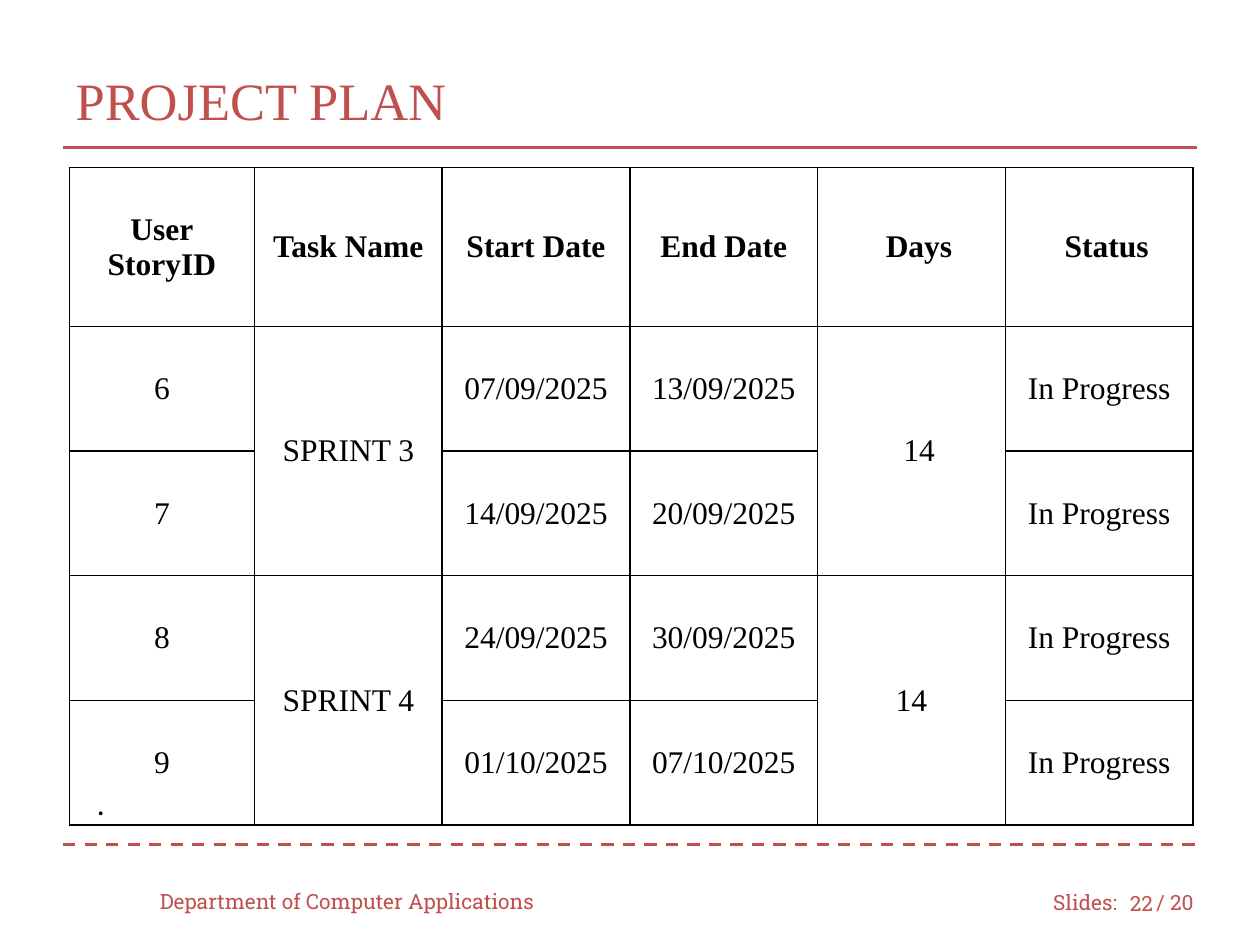
from dataclasses import dataclass
from typing import Optional

from lxml.etree import SubElement
from pptx import Presentation
from pptx.dml.color import RGBColor
from pptx.enum.dml import MSO_LINE_DASH_STYLE as Dash
from pptx.enum.shapes import MSO_CONNECTOR as Connector
from pptx.enum.text import MSO_ANCHOR as Anchor, PP_ALIGN as Align
from pptx.oxml.ns import qn
from pptx.slide import Slide
from pptx.table import _Cell as Cell
from pptx.text.text import TextFrame
from pptx.util import Inches, Pt


@dataclass(frozen=True)
class Theme:
    accent: RGBColor = RGBColor(0xC0, 0x50, 0x4D)
    ink: RGBColor = RGBColor(0, 0, 0)
    paper: RGBColor = RGBColor(255, 255, 255)
    serif: str = "Times New Roman"
    slab: str = "Roboto Slab"
    sans: str = "Calibri"
    title_size: int = 30
    table_size: int = 18
    footer_size: int = 12
    rule_width: float = 1.75
    border_width: float = 1


THEME = Theme()


@dataclass(frozen=True)
class Style:
    font: str
    size: int
    color: RGBColor
    bold: bool = False
    align: Align = Align.LEFT


TITLE = Style(THEME.serif, THEME.title_size, THEME.accent)
HEADER = Style(THEME.serif, THEME.table_size, THEME.ink, True, Align.CENTER)
ENTRY = Style(THEME.serif, THEME.table_size, THEME.ink, False, Align.CENTER)
FOOTER = Style(THEME.slab, THEME.footer_size, THEME.accent)
PAGE_NUMBER = Style(THEME.slab, THEME.footer_size, THEME.accent, align=Align.RIGHT)
MARK = Style(THEME.sans, THEME.table_size, THEME.ink)


@dataclass(frozen=True)
class Label:
    text: str
    left: float
    top: float
    width: float
    style: Style = FOOTER
    anchor: Anchor = Anchor.MIDDLE
    height: float = 0.4


@dataclass(frozen=True)
class Rule:
    top: float
    dash: Optional[Dash] = None


@dataclass(frozen=True)
class Sprint:
    name: str
    days: str
    stories: tuple[tuple[str, str, str], ...]


LABELS = (
    Label("Slides:", 8.26, 6.96, 0.75),
    Label("/ 20", 9.08, 6.96, 0.58),
    Label("Department of Computer Applications", 1.17, 6.95, 3.33),
    Label("22", 8.83, 6.97, 0.42, PAGE_NUMBER),
    Label(".", 0.67, 6.17, 8.58, MARK, Anchor.TOP),
)
RULES = (Rule(1.17), Rule(6.7, Dash.DASH))
HEADINGS = ("User\nStoryID", "Task Name", "Start Date", "End Date", "Days", "Status")
SPRINTS = (
    Sprint("SPRINT 3", "14", (("6", "07/09/2025", "13/09/2025"),
                              ("7", "14/09/2025", "20/09/2025"))),
    Sprint("SPRINT 4", "14", (("8", "24/09/2025", "30/09/2025"),
                              ("9", "01/10/2025", "07/10/2025"))),
)
STATUS = "In Progress"
TASK_COLUMN, DAYS_COLUMN = 1, 4
COLUMN_WIDTHS = (1.47,) + (1.49,) * 5
ROW_HEIGHTS = (1.26,) + (0.99,) * 4
CELL_MARGIN = 0.1
INDENT = 0.12
INDENTED_CELLS = {(0, 4), (0, 5), (1, 4)}


def write(frame: TextFrame, text: str, style: Style) -> None:
    frame.text = text
    for para in frame.paragraphs:
        para.alignment = style.align
        para.font.name = style.font
        para.font.size = Pt(style.size)
        para.font.bold = style.bold
        para.font.color.rgb = style.color


def draw_title(page: Slide, text: str) -> None:
    title = page.shapes.title
    title.left, title.top = Inches(0.5), Inches(0.33)
    title.width, title.height = Inches(9), Inches(0.92)
    write(title.text_frame, text, TITLE)
    title.text_frame.vertical_anchor = Anchor.MIDDLE


def draw_label(page: Slide, label: Label) -> None:
    box = page.shapes.add_textbox(Inches(label.left), Inches(label.top),
                                  Inches(label.width), Inches(label.height))
    box.text_frame.word_wrap = True
    box.text_frame.vertical_anchor = label.anchor
    write(box.text_frame, label.text, label.style)


def draw_rule(page: Slide, rule: Rule) -> None:
    line = page.shapes.add_connector(Connector.STRAIGHT, Inches(0.5), Inches(rule.top),
                                     Inches(9.5), Inches(rule.top))
    line.line.color.rgb = THEME.accent
    line.line.width = Pt(THEME.rule_width)
    if rule.dash:
        line.line.dash_style = rule.dash
    SubElement(line._element.spPr, qn("a:effectLst"))


def format_cell(cell: Cell, indent: float) -> None:
    cell.vertical_anchor = Anchor.MIDDLE
    cell.margin_left = Inches(CELL_MARGIN + indent)
    cell.margin_right = cell.margin_top = cell.margin_bottom = Inches(CELL_MARGIN)
    properties = cell._tc.get_or_add_tcPr()
    for side in ("lnL", "lnR", "lnT", "lnB"):
        border = SubElement(properties, qn(f"a:{side}"), w=str(Pt(THEME.border_width)))
        fill = SubElement(border, qn("a:solidFill"))
        SubElement(fill, qn("a:srgbClr"), val=str(THEME.ink))
    cell.fill.solid()
    cell.fill.fore_color.rgb = THEME.paper


def draw_plan(page: Slide) -> None:
    table = page.shapes.add_table(
        len(ROW_HEIGHTS), len(COLUMN_WIDTHS), Inches(0.55), Inches(1.33),
        Inches(sum(COLUMN_WIDTHS)), Inches(sum(ROW_HEIGHTS))).table
    for column, width in zip(table.columns, COLUMN_WIDTHS):
        column.width = Inches(width)
    for row, height in zip(table.rows, ROW_HEIGHTS):
        row.height = Inches(height)

    rows = [HEADINGS]
    for sprint in SPRINTS:
        first, last = len(rows), len(rows) + len(sprint.stories) - 1
        for index, (story, start, end) in enumerate(sprint.stories):
            name, days = (sprint.name, sprint.days) if index == 0 else ("", "")
            rows.append((story, name, start, end, days, STATUS))
        for column in (TASK_COLUMN, DAYS_COLUMN):
            table.cell(first, column).merge(table.cell(last, column))

    for row_index, texts in enumerate(rows):
        for column_index, text in enumerate(texts):
            cell = table.cell(row_index, column_index)
            indented = (row_index, column_index) in INDENTED_CELLS
            format_cell(cell, INDENT if indented else 0)
            write(cell.text_frame, text, ENTRY if row_index else HEADER)


def main() -> None:
    deck = Presentation()
    deck.slide_width, deck.slide_height = Inches(10), Inches(7.5)
    page = deck.slides.add_slide(deck.slide_layouts[5])
    draw_title(page, "PROJECT PLAN")
    for rule in RULES:
        draw_rule(page, rule)
    draw_plan(page)
    for label in LABELS:
        draw_label(page, label)
    deck.save("out.pptx")


if __name__ == "__main__":
    main()
